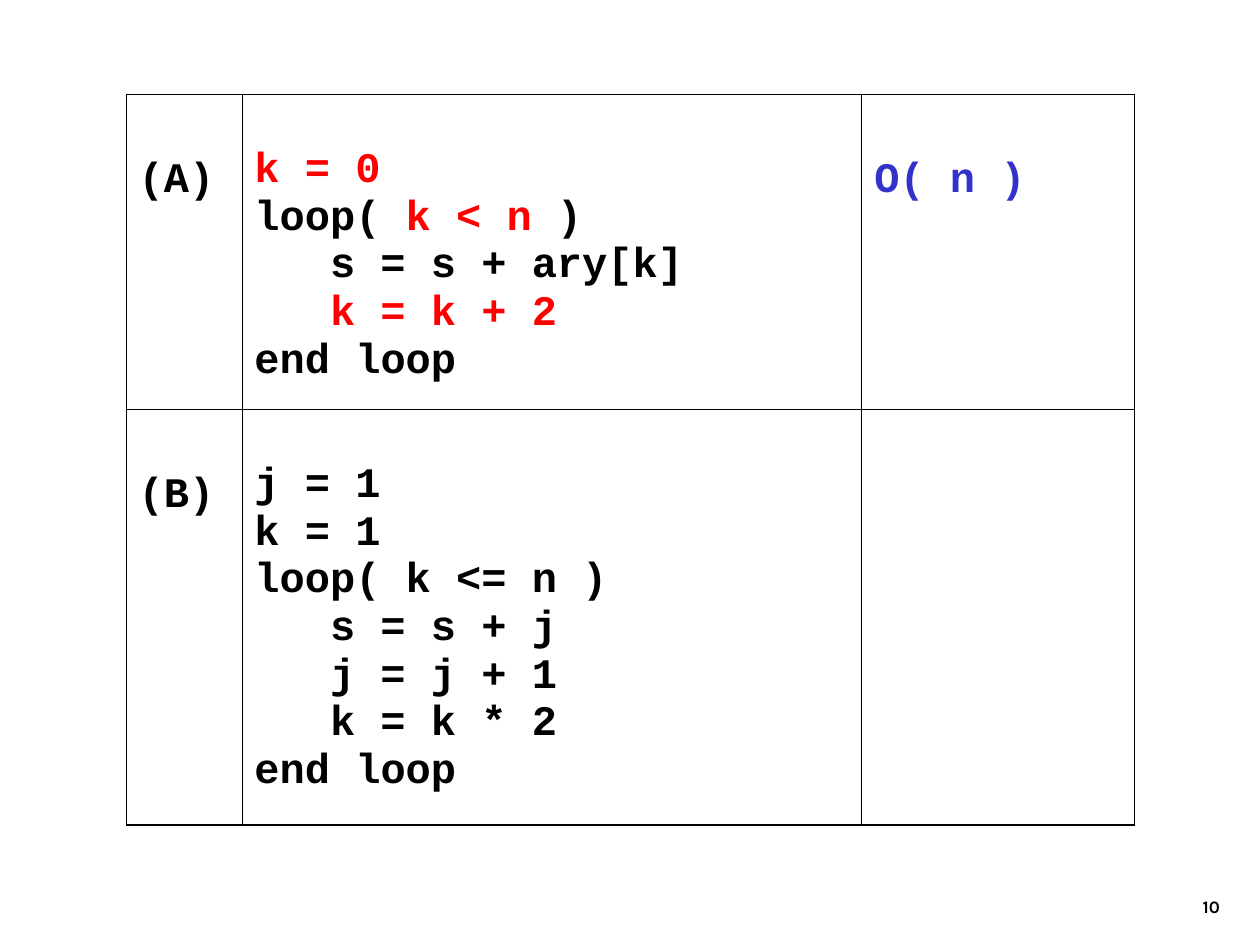
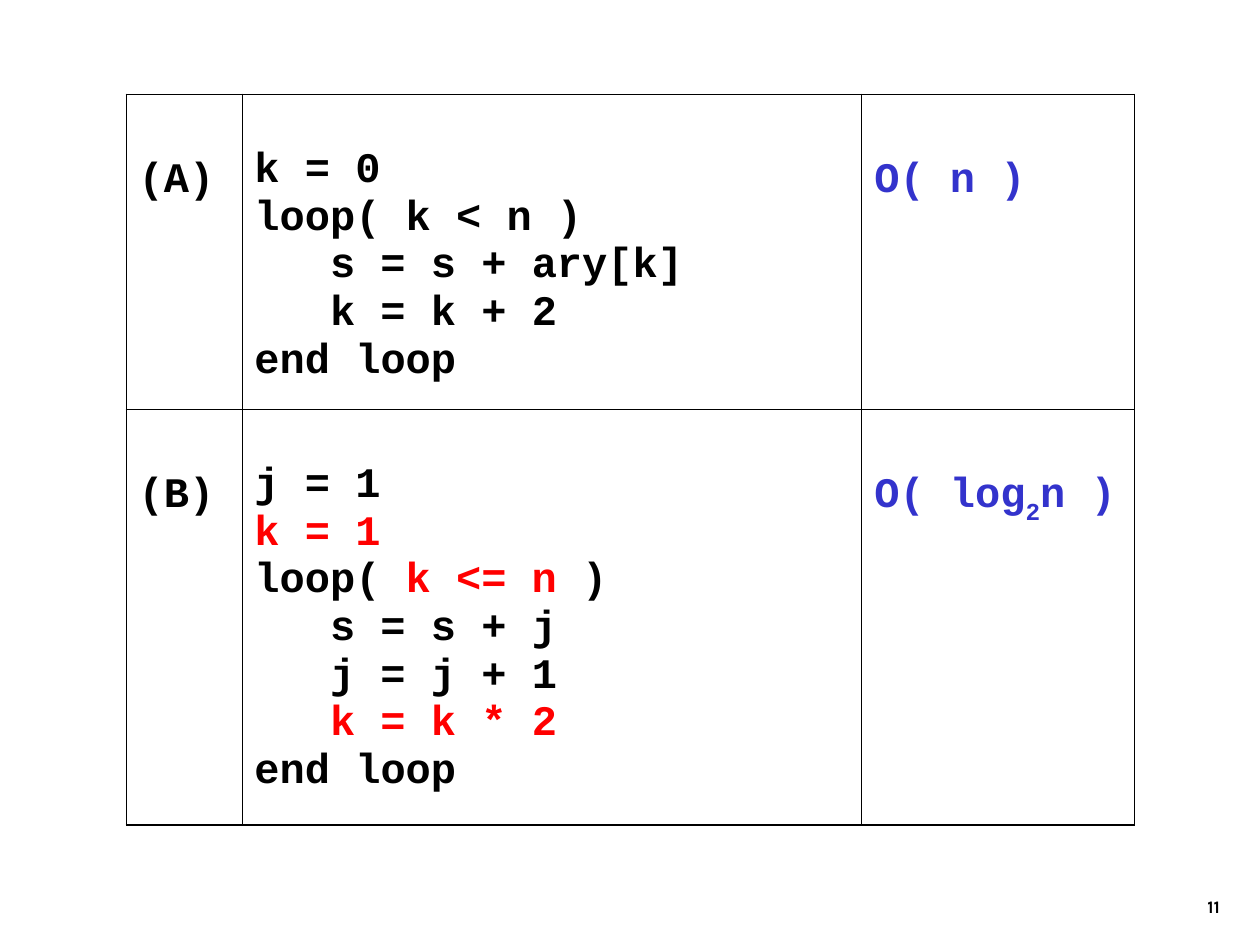
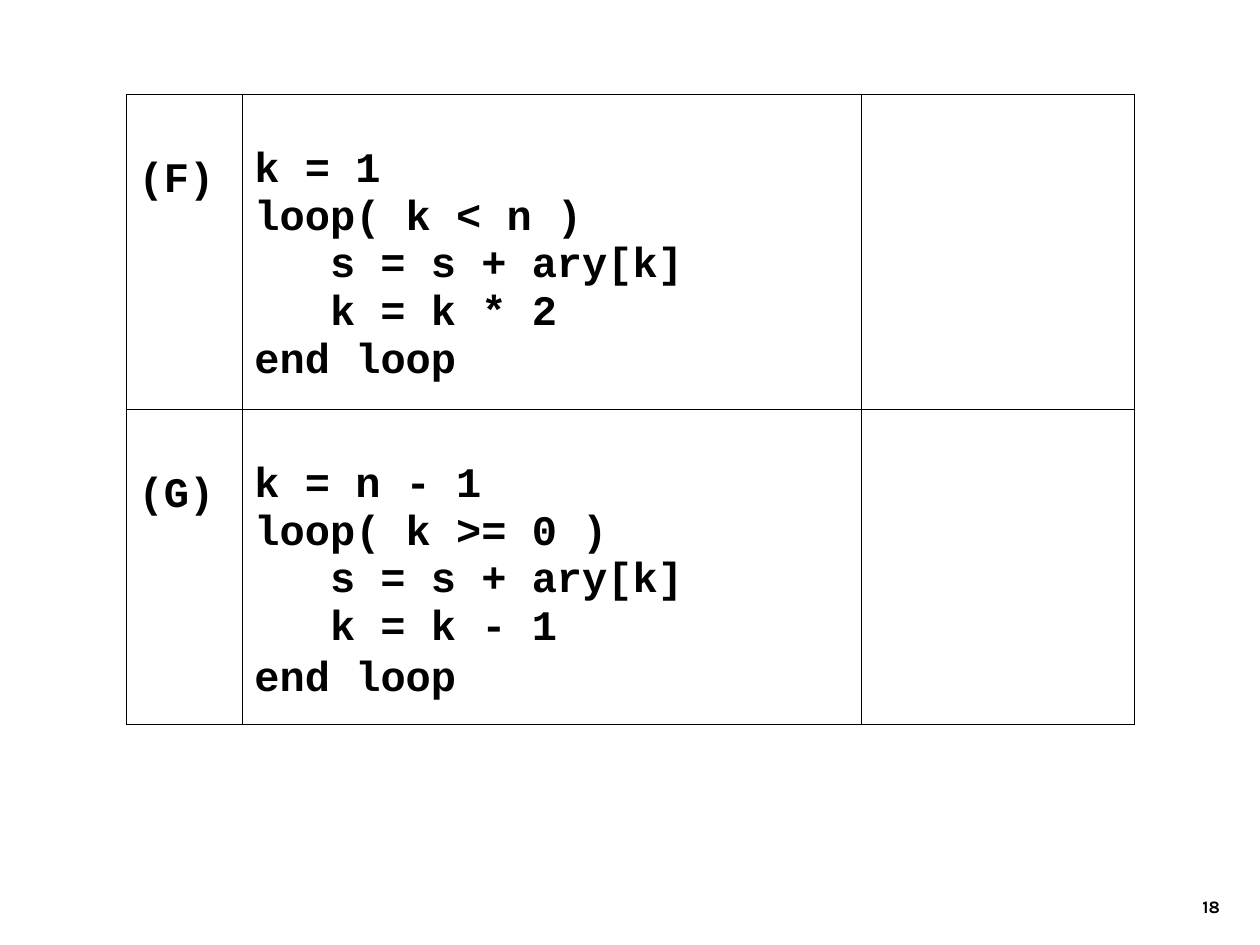
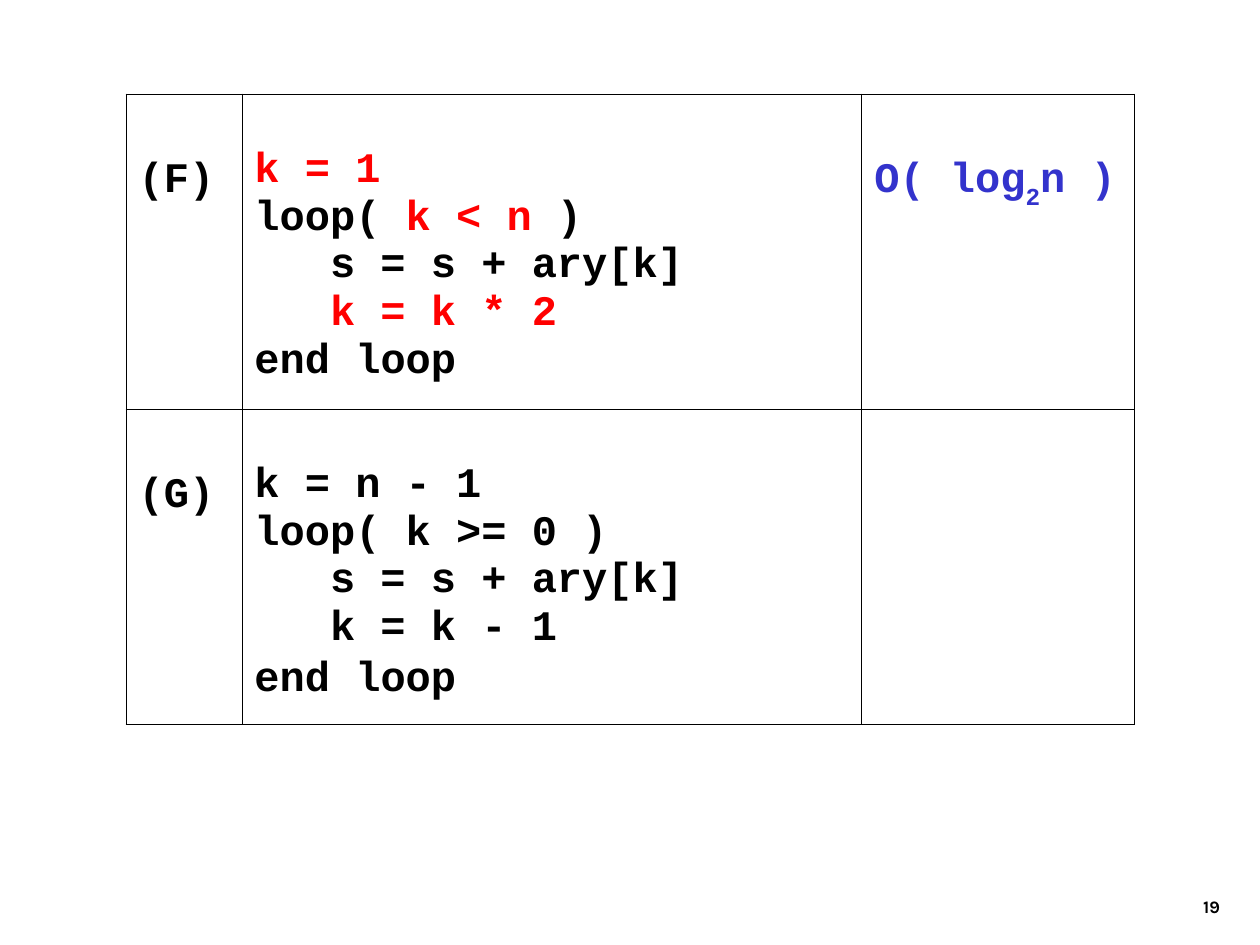
import dataclasses
import enum

import pptx
import pptx.dml.color
import pptx.enum.text
import pptx.oxml
import pptx.oxml.ns
import pptx.slide
import pptx.table
import pptx.text.text
import pptx.util
from pptx.util import Inches

BLACK, RED, BLUE = "000000", "FF0000", "3333CC"
CODE_FONT, NUMBER_FONT = "Courier New", "Karla"
COLUMN_WIDTHS = (0.92, 4.92, 2.16)
OUTER_LINE, INNER_LINE = 1.08, 0.45
CODE_TOP, LABEL_TOP = 0.42, 0.5
CODE_INDENT = 0.6  # three characters of 24 pt Courier New


class Stage(enum.Enum):
    ASKED = 1
    EXPLAINED = 2
    ANSWERED = 3


@dataclasses.dataclass(frozen=True)
class Exercise:
    """Bars enclose the loop control in setup, test and body, and the subscript in answer."""
    label: str
    setup: tuple[str, ...]
    test: str
    body: tuple[str, ...]
    height: float
    answer: str = ""
    end_gap: float = 0


@dataclasses.dataclass(frozen=True)
class Page:
    number: int
    rows: tuple[tuple[Exercise, Stage], ...]


STEP_TWO = Exercise("(A)", ("|k = 0|",), "|k < n|", ("s = s + ary[k]", "|k = k + 2|"),
                    2.5, answer="O( n )")
DOUBLING_SUM = Exercise("(B)", ("j = 1", "|k = 1|"), "|k <= n|",
                        ("s = s + j", "j = j + 1", "|k = k * 2|"), 3.3, answer="O( log|2|n )")
DOUBLING = Exercise("(F)", ("|k = 1|",), "|k < n|", ("s = s + ary[k]", "|k = k * 2|"),
                    2.5, answer="O( log|2|n )")
COUNTDOWN = Exercise("(G)", ("k = n - 1",), "k >= 0", ("s = s + ary[k]", "k = k - 1"),
                     2.5, end_gap=2)

PAGES = (
    Page(10, ((STEP_TWO, Stage.EXPLAINED), (DOUBLING_SUM, Stage.ASKED))),
    Page(11, ((STEP_TWO, Stage.ANSWERED), (DOUBLING_SUM, Stage.EXPLAINED))),
    Page(18, ((DOUBLING, Stage.ASKED), (COUNTDOWN, Stage.ASKED))),
    Page(19, ((DOUBLING, Stage.EXPLAINED), (COUNTDOWN, Stage.ASKED))),
)


def rgb(color: str) -> pptx.dml.color.RGBColor:
    return pptx.dml.color.RGBColor.from_string(color)


def set_font(paragraph: pptx.text.text._Paragraph, name: str, size: float, color: str) -> None:
    font = paragraph.font
    font.name, font.size, font.bold = name, pptx.util.Pt(size), True
    font.color.rgb = rgb(color)


def set_borders(cell: pptx.table._Cell, left: float, right: float, top: float, bottom: float) -> None:
    properties = cell._tc.get_or_add_tcPr()
    for side, width in zip("LRTB", (left, right, top, bottom)):
        properties.append(pptx.oxml.parse_xml(
            f'<a:ln{side} {pptx.oxml.ns.nsdecls("a")} w="{pptx.util.Pt(width)}">'
            f'<a:solidFill><a:srgbClr val="{BLACK}"/></a:solidFill></a:ln{side}>'))
    cell.fill.background()


def write_label(cell: pptx.table._Cell, text: str, color: str) -> None:
    """Write one line; a part between bars becomes a subscript."""
    cell.margin_top = Inches(LABEL_TOP)
    paragraph = cell.text_frame.paragraphs[0]
    set_font(paragraph, CODE_FONT, 24, color)
    for index, part in enumerate(text.split("|")):
        span = paragraph.add_run()
        span.text = part
        if index % 2:
            span.font._element.set("baseline", "-30000")


def write_code(cell: pptx.table._Cell, exercise: Exercise, highlighted: bool) -> None:
    """Write the loop; parts between bars turn red when highlighted."""
    cell.margin_top = Inches(CODE_TOP)
    lines = [(text, 0) for text in (*exercise.setup, f"loop( {exercise.test} )")]
    lines += [(text, CODE_INDENT) for text in exercise.body]
    lines.append(("end loop", 0))
    frame = cell.text_frame
    for index, (text, indent) in enumerate(lines):
        paragraph = frame.add_paragraph() if index else frame.paragraphs[0]
        set_font(paragraph, CODE_FONT, 24, BLACK)
        if indent:
            paragraph._p.get_or_add_pPr().set("marL", str(Inches(indent)))
        parts = text.split("|") if highlighted else [text.replace("|", "")]
        for part_index, part in enumerate(parts):
            if part:
                span = paragraph.add_run()
                span.text = part
                if part_index % 2:
                    span.font.color.rgb = rgb(RED)
    if exercise.end_gap:
        frame.paragraphs[-1].space_before = pptx.util.Pt(exercise.end_gap)


def add_exercises(slide: pptx.slide.Slide, rows: tuple[tuple[Exercise, Stage], ...]) -> None:
    height = sum(exercise.height for exercise, _ in rows)
    table = slide.shapes.add_table(len(rows), len(COLUMN_WIDTHS), Inches(1), Inches(0.75),
                                   Inches(sum(COLUMN_WIDTHS)), Inches(height)).table
    table.first_row = table.horz_banding = False
    for column, width in zip(table.columns, COLUMN_WIDTHS):
        column.width = Inches(width)

    def line(is_outer: bool) -> float:
        return OUTER_LINE if is_outer else INNER_LINE

    for row, (exercise, stage) in enumerate(rows):
        table.rows[row].height = Inches(exercise.height)
        label, code, answer = cells = table.rows[row].cells
        write_label(label, exercise.label, BLACK)
        write_code(code, exercise, stage is Stage.EXPLAINED)
        if stage is not Stage.ASKED:
            write_label(answer, exercise.answer, BLUE)
        for cell in cells:
            set_borders(cell, line(cell is label), line(cell is answer),
                        line(row == 0), line(row == len(rows) - 1))


def add_page_number(slide: pptx.slide.Slide, number: int) -> None:
    box = slide.shapes.add_textbox(Inches(7.7), Inches(6.83), Inches(2.08), Inches(0.5))
    frame = box.text_frame
    frame.word_wrap = True
    frame.vertical_anchor = pptx.enum.text.MSO_ANCHOR.BOTTOM
    paragraph = frame.paragraphs[0]
    paragraph.text = str(number)
    paragraph.alignment = pptx.enum.text.PP_ALIGN.RIGHT
    set_font(paragraph, NUMBER_FONT, 10, BLACK)


def main() -> None:
    deck = pptx.Presentation()
    deck.slide_width, deck.slide_height = Inches(10), Inches(7.5)
    for page in PAGES:
        slide = deck.slides.add_slide(deck.slide_layouts[6])
        add_page_number(slide, page.number)
        add_exercises(slide, page.rows)
    deck.save("out.pptx")


if __name__ == "__main__":
    main()
